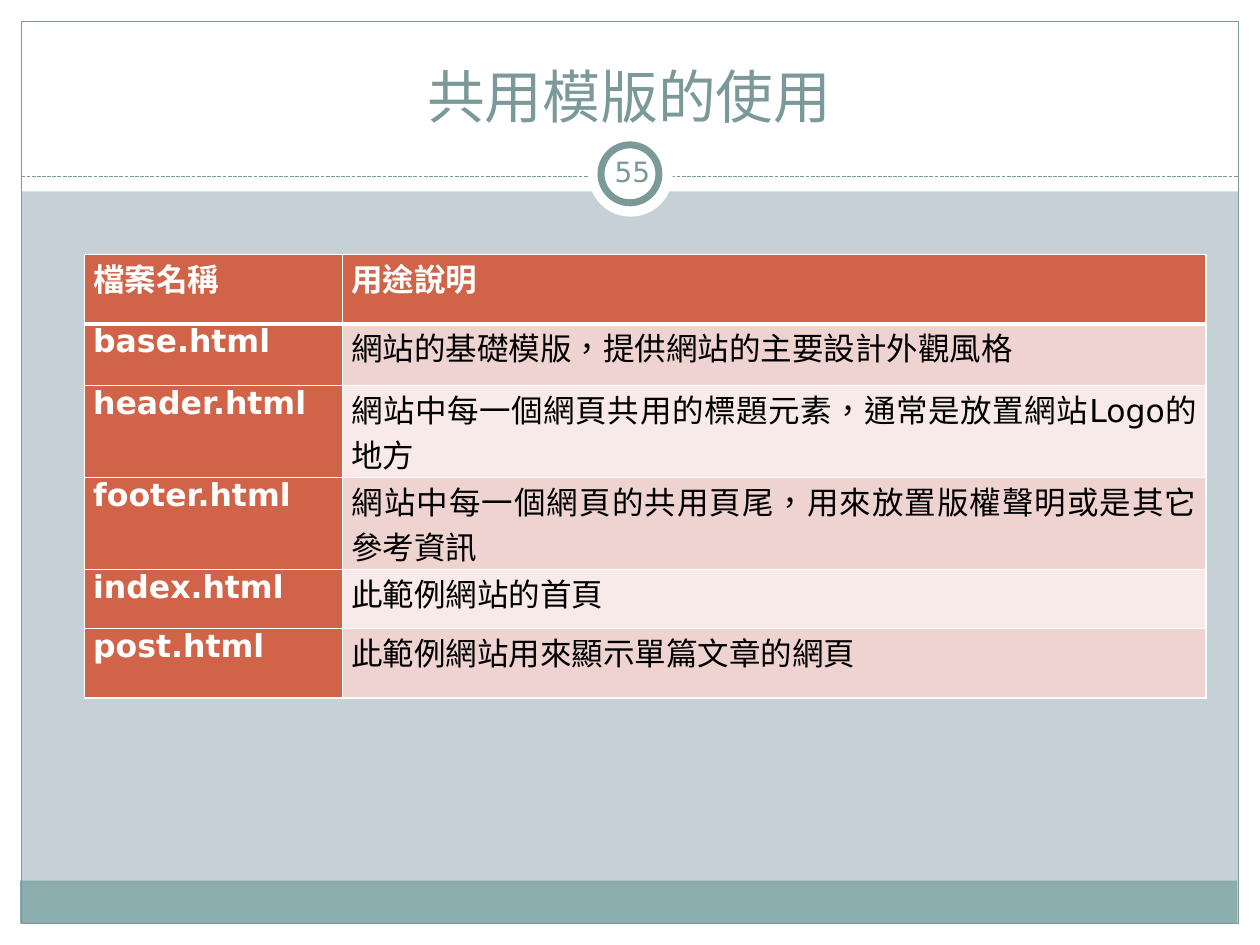
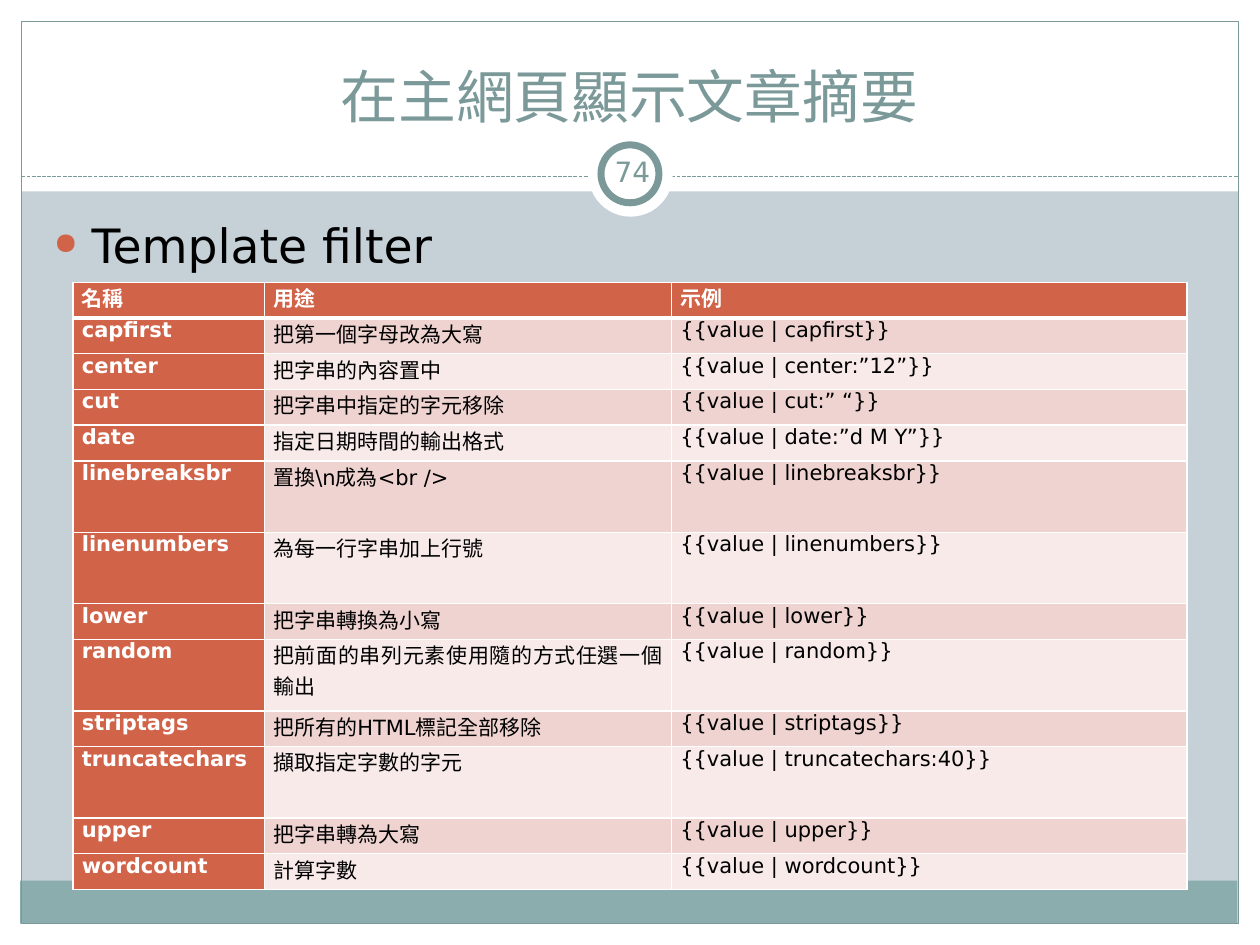
from pptx import Presentation
from pptx.util import Inches, Pt
from pptx.dml.color import RGBColor
from pptx.enum.dml import MSO_LINE as Dash
from pptx.enum.lang import MSO_LANGUAGE_ID as Lang
from pptx.enum.shapes import MSO_CONNECTOR as Link, MSO_SHAPE as Kind
from pptx.enum.text import MSO_ANCHOR as Anchor, PP_ALIGN as Align
from pptx.oxml import parse_xml
from pptx.oxml.ns import nsdecls
from lxml.etree import SubElement

FONT = "DejaVu Sans"
WHITE, BLACK, TEAL = "FFFFFF", "000000", "7C999A"
BACK, FOOT, RUST = "C5D1D7", "8CADAE", "D16349"
BANDS = ["F7EAE9", "EED3D0"]


def hue(code):
    return RGBColor.from_string(code)


def write(frame, text, size, code, bold=False, **form):
    """Put one styled paragraph in a text frame; form holds paragraph values."""
    par = frame.paragraphs[0]
    for key, value in form.items():
        setattr(par, key, value)
    run = par.add_run()
    run.text = text
    looks = {"name": FONT, "size": Pt(size), "bold": bold,
             "language_id": Lang.TRADITIONAL_CHINESE}
    for key, value in looks.items():
        setattr(run.font, key, value)
    run.font.color.rgb = hue(code)
    return par


# Shared frame: kind, place, fill, line width
FRAME = [
    (Kind.RECTANGLE, (0, 7.33, 10, 0.17), WHITE, 0),
    (Kind.RECTANGLE, (0, 0, 10, 1.52), WHITE, 0),
    (Kind.RECTANGLE, (0, 0, 0.17, 7.5), WHITE, 0),
    (Kind.RECTANGLE, (9.83, 0, 0.17, 7.5), WHITE, 0),
    (Kind.RECTANGLE, (0.16, 6.99, 9.66, 0.34), FOOT, 0),
    (Kind.RECTANGLE, (0.17, 0.17, 9.66, 7.16), None, 0.75),
    (Kind.OVAL, (4.67, 1.05, 0.67, 0.67), WHITE, 0),
    (Kind.OVAL, (4.77, 1.15, 0.46, 0.46), WHITE, 4),
]

# Content of each slide
PAGES = [
    {
        "title": "共用模版的使用", "num": "55", "point": None, "size": 18,
        "place": (0.67, 2.02), "cols": [2.05, 6.85],
        "rows": [0.55, 0.49, 0.73, 0.73, 0.47, 0.55],
        "cells": [
            ("檔案名稱", "用途說明"),
            ("base.html", "網站的基礎模版，提供網站的主要設計外觀風格"),
            ("header.html", "網站中每一個網頁共用的標題元素，通常是放置網站Logo的地方"),
            ("footer.html", "網站中每一個網頁的共用頁尾，用來放置版權聲明或是其它參考資訊"),
            ("index.html", "此範例網站的首頁"),
            ("post.html", "此範例網站用來顯示單篇文章的網頁"),
        ],
    },
    {
        "title": "在主網頁顯示文章摘要", "num": "74",
        "point": "Template filter", "size": 12,
        "place": (0.58, 2.24), "cols": [1.52, 3.23, 4.09],
        # Four rows are two units tall, the other nine are one
        "rows": [4.82 / 17 * (2 if n in (5, 6, 8, 10) else 1) for n in range(13)],
        "cells": [("名稱", "用途", "示例")] + [
            (name, use, "{{value | " + name + arg + "}}") for name, use, arg in [
                ("capfirst", "把第一個字母改為大寫", ""),
                ("center", "把字串的內容置中", ":”12”"),
                ("cut", "把字串中指定的字元移除", ":” “"),
                ("date", "指定日期時間的輸出格式", ":”d M Y”"),
                ("linebreaksbr", "置換\\n成為<br />", ""),
                ("linenumbers", "為每一行字串加上行號", ""),
                ("lower", "把字串轉換為小寫", ""),
                ("random", "把前面的串列元素使用隨的方式任選一個輸出", ""),
                ("striptags", "把所有的HTML標記全部移除", ""),
                ("truncatechars", "擷取指定字數的字元", ":40"),
                ("upper", "把字串轉為大寫", ""),
                ("wordcount", "計算字數", ""),
            ]
        ],
    },
]

deck = Presentation()
deck.slide_width, deck.slide_height = Inches(10), Inches(7.5)
ground = deck.slide_master.background.fill
ground.solid()
ground.fore_color.rgb = hue(BACK)

for page in PAGES:
    slide = deck.slides.add_slide(deck.slide_layouts[6])
    shapes = slide.shapes

    # Bands, border and number ring, with the dashed rule under the ring
    for kind, place, fill, width in FRAME:
        if place[0] == 4.67:
            rule = shapes.add_connector(Link.STRAIGHT, Inches(0.17), Inches(1.4),
                                        Inches(9.83), Inches(1.4))
            rule.line.color.rgb = hue(TEAL)
            rule.line.width = Pt(0.75)
            rule.line.dash_style = Dash.SQUARE_DOT
            rule.element.spPr.append(parse_xml(f"<a:effectLst {nsdecls('a')}/>"))
        part = shapes.add_shape(kind, *map(Inches, place))
        part.shadow.inherit = False
        if fill:
            part.fill.solid()
            part.fill.fore_color.rgb = hue(fill)
        else:
            part.fill.background()
        if width:
            part.line.color.rgb = hue(TEAL)
            part.line.width = Pt(width)
        else:
            part.line.fill.background()

    # Title, slide number and bullet point
    texts = [
        (page["title"], (0.33, 0.25, 9.33, 0.83), 33, TEAL, Anchor.BOTTOM, Align.CENTER),
        (page["num"], (4.77, 1.12, 0.5, 0.48), 16, TEAL, Anchor.MIDDLE, Align.CENTER),
        (page["point"], (0.33, 1.67, 9.3, 5), 27, BLACK, Anchor.TOP, Align.LEFT),
    ]
    for text, place, size, code, anchor, align in texts:
        if not text:
            continue
        frame = shapes.add_textbox(*map(Inches, place)).text_frame
        frame.word_wrap = True
        frame.vertical_anchor = anchor
        par = write(frame, text, size, code, alignment=align)
        if text == page["num"]:
            for side in ("left", "right", "top", "bottom"):
                setattr(frame, "margin_" + side, Inches(0.05))
        if text == page["point"]:
            par.space_before = Pt(5.4)
            props = par._p.get_or_add_pPr()
            props.set("marL", str(Inches(0.3)))
            props.set("indent", str(Inches(-0.3)))
            for bit in (f'<a:buClr {nsdecls("a")}><a:srgbClr val="{RUST}"/></a:buClr>',
                        f'<a:buSzPct {nsdecls("a")} val="64000"/>',
                        f'<a:buChar {nsdecls("a")} char="●"/>'):
                props.append(parse_xml(bit))

    # Table
    cols, rows = page["cols"], page["rows"]
    size = [sum(cols), sum(rows)]
    table = shapes.add_table(len(rows), len(cols),
                             *map(Inches, [*page["place"], *size])).table
    table.first_row = table.horz_banding = False
    for col, wide in zip(table.columns, cols):
        col.width = Inches(wide)
    for r, (row, tall) in enumerate(zip(table.rows, rows)):
        row.height = Inches(tall)
        for c, cell in enumerate(row.cells):
            head = r == 0 or c == 0
            margins = {"margin_left": 0.07, "margin_right": 0.07,
                       "margin_top": 0, "margin_bottom": 0}
            for key, value in margins.items():
                setattr(cell, key, Inches(value))
            write(cell.text_frame, page["cells"][r][c], page["size"],
                  WHITE if head else BLACK, head, alignment=Align.JUSTIFY,
                  space_before=Pt(6), space_after=Pt(6))

            # White borders, heavy below the heading row
            props = cell._tc.get_or_add_tcPr()
            for side in "LRTB":
                heavy = (r, side) in ((0, "B"), (1, "T"))
                edge = parse_xml(f'<a:ln{side} {nsdecls("a")} w="{Pt(3 if heavy else 1)}">'
                                 f'<a:solidFill/></a:ln{side}>')
                SubElement(edge[0], edge.tag.split("}")[0] + "}srgbClr", val=WHITE)
                props.append(edge)
            cell.fill.solid()
            cell.fill.fore_color.rgb = hue(RUST if head else BANDS[r % 2])

deck.save("out.pptx")
